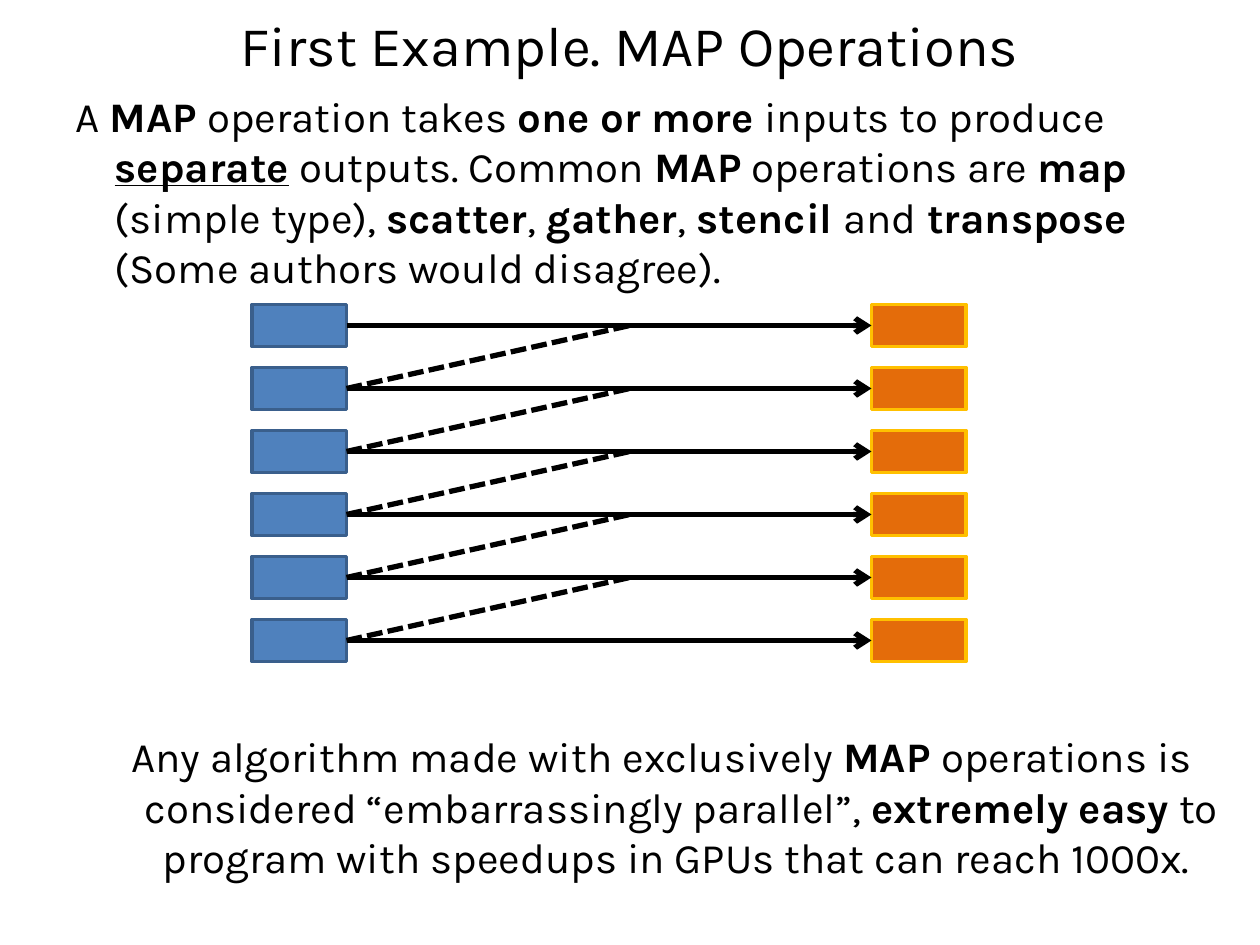
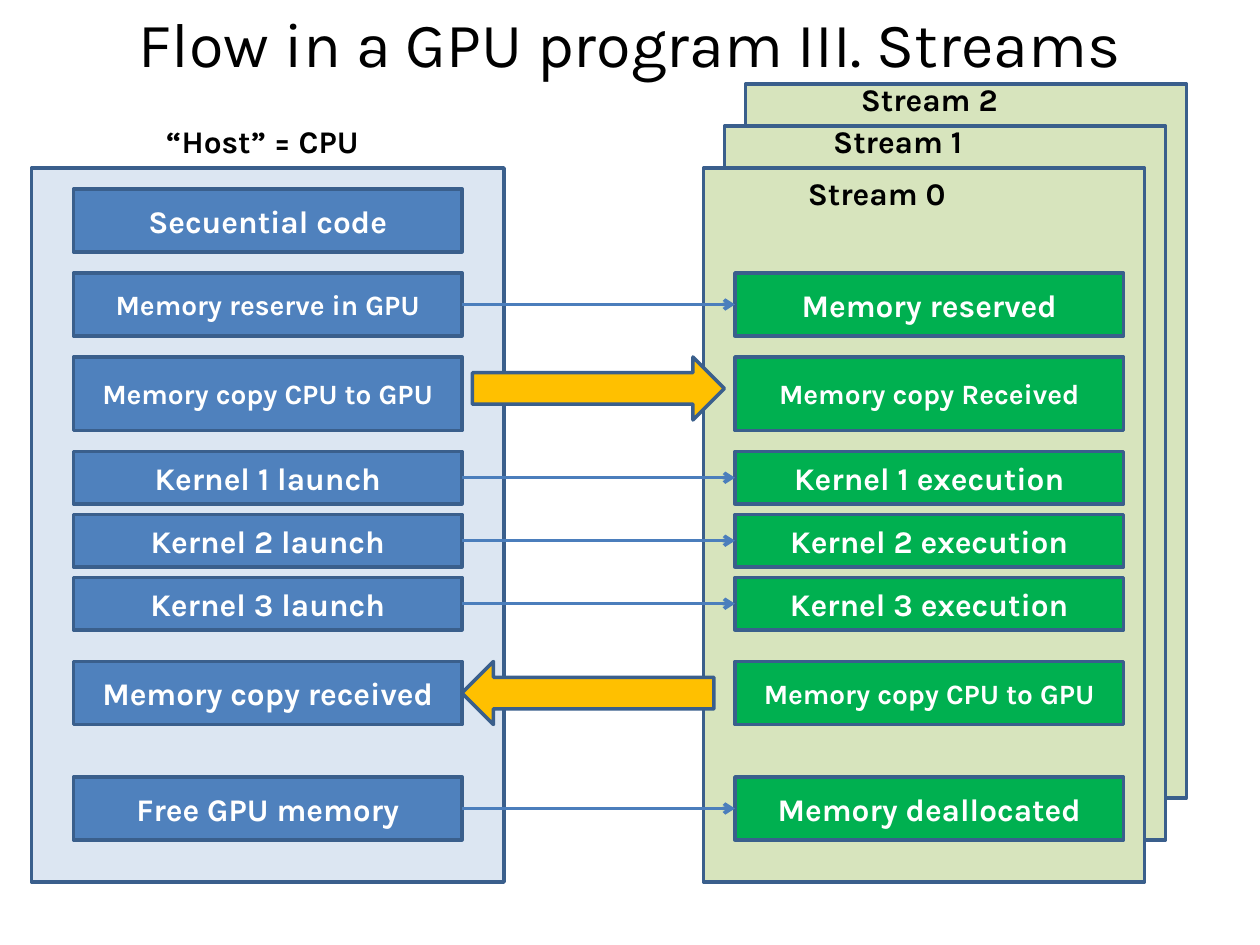
from lxml import etree
from pptx import Presentation
from pptx.dml.color import RGBColor
from pptx.enum.dml import MSO_LINE
from pptx.enum.shapes import MSO_CONNECTOR, MSO_SHAPE
from pptx.enum.text import MSO_ANCHOR, MSO_AUTO_SIZE, PP_ALIGN
from pptx.oxml.ns import qn
from pptx.util import Pt

PX = 9525  # 96 px to the inch
FONT = "Karla"
BLACK = RGBColor(0x00, 0x00, 0x00)
WHITE = RGBColor(0xFF, 0xFF, 0xFF)
BLUE = RGBColor(0x4F, 0x81, 0xBD)
DARK_BLUE = RGBColor(0x3A, 0x5F, 0x8C)
LINK_BLUE = RGBColor(0x4B, 0x7E, 0xBC)
PALE_BLUE = RGBColor(0xDC, 0xE6, 0xF2)
ORANGE = RGBColor(0xE4, 0x6C, 0x0A)
GOLD = RGBColor(0xFF, 0xC0, 0x00)
GREEN = RGBColor(0x00, 0xB0, 0x50)
PALE_GREEN = RGBColor(0xD7, 0xE4, 0xBD)

# Runs are (text, style): "b" bold, "u" underlined
MAP_DEFINITION = [
    ("A ", ""), ("MAP ", "b"), ("operation takes ", ""), ("one or more ", "b"),
    ("inputs to produce ", ""), ("separate", "bu"), (" outputs. Common ", ""),
    ("MAP", "b"), (" operations are ", ""), ("map ", "b"), ("(simple type), ", ""),
    ("scatter", "b"), (",", ""), (" gather", "b"), (",", ""), (" stencil ", "b"),
    ("and", ""), (" transpose", "b"), (" (Some authors would disagree).", ""),
]
MAP_REMARK = [
    ("Any algorithm made with exclusively ", ""), ("MAP ", "b"),
    ("operations is considered “embarrassingly parallel”, ", ""),
    ("extremely easy ", "b"),
    ("to program with speedups in GPUs that can reach 1000x. ", ""),
]
MAP_ROWS = 6

# Top, height, host step and its size, stream step and its size, link between them
STEPS = [
    (144, 48, "Secuential code", 18, None, None, None),
    (208, 48, "Memory reserve in GPU", 16, "Memory reserved", 18, "call"),
    (272, 56, "Memory copy CPU to GPU", 16, "Memory copy Received", 16, "copy in"),
    (344, 40, "Kernel 1 launch", 18, "Kernel 1 execution", 18, "call"),
    (392, 40, "Kernel 2 launch", 18, "Kernel 2 execution", 18, "call"),
    (440, 40, "Kernel 3 launch", 18, "Kernel 3 execution", 18, "call"),
    (504, 48, "Memory copy received", 18, "Memory copy CPU to GPU", 16, "copy out"),
    (592, 48, "Free GPU memory", 18, "Memory deallocated", 18, "call"),
]
# Left and top of each panel, back to front, and of its label
STREAMS = [
    ("Stream 2", (568, 64), (576, 56)),
    ("Stream 1", (552, 96), (552, 88)),
    ("Stream 0", (536, 128), (536, 128)),
]


def scaled(*lengths):
    return [length * PX for length in lengths]


def write(frame, runs, size, color, align=PP_ALIGN.CENTER):
    paragraph = frame.paragraphs[0]
    paragraph.alignment = align
    for text, style in runs:
        run = paragraph.add_run()
        run.text = text
        run.font.name = FONT
        run.font.size = Pt(size)
        run.font.color.rgb = color
        run.font.bold = "b" in style
        run.font.underline = "u" in style
    return paragraph


def add_text(slide, box, runs, size, align=PP_ALIGN.CENTER):
    frame = slide.shapes.add_textbox(*scaled(*box)).text_frame
    frame.word_wrap = True
    write(frame, runs, size, BLACK, align)
    return frame


def add_title(slide, title, top, height, size):
    frame = add_text(slide, (48, top, 864, height), [(title, "")], size)
    frame.vertical_anchor = MSO_ANCHOR.MIDDLE


def add_body(slide, top, height, runs, align):
    """Full-width text with a hanging indent."""
    frame = add_text(slide, (0, top, 960, height), runs, 24, align)
    paragraph = frame.paragraphs[0]
    paragraph.space_before = Pt(4.8)
    properties = paragraph._p.get_or_add_pPr()
    properties.set("marL", str(78 * PX))
    properties.set("indent", str(-30 * PX))


def add_label(slide, left, top, width, label):
    frame = add_text(slide, (left, top, width, 38), [(label, "b")], 18)
    frame.auto_size = MSO_AUTO_SIZE.SHAPE_TO_FIT_TEXT


def add_block(slide, box, fill, line=DARK_BLUE, kind=MSO_SHAPE.RECTANGLE):
    block = slide.shapes.add_shape(kind, *scaled(*box))
    block.shadow.inherit = False
    block.fill.solid()
    block.fill.fore_color.rgb = fill
    block.line.color.rgb = line
    block.line.width = Pt(2)
    return block


def add_step(slide, box, fill, step, size):
    frame = add_block(slide, box, fill).text_frame
    frame.word_wrap = True
    frame.vertical_anchor = MSO_ANCHOR.MIDDLE
    write(frame, [(step, "b")], size, WHITE)


def add_line(slide, start, end, color, width, dashed=False):
    """Dashed line, or solid line with an arrowhead at its end."""
    line = slide.shapes.add_connector(MSO_CONNECTOR.STRAIGHT, *scaled(*start, *end))
    line.line.color.rgb = color
    line.line.width = Pt(width)
    if dashed:
        line.line.dash_style = MSO_LINE.SQUARE_DOT
    else:
        etree.SubElement(line.line._get_or_add_ln(), qn("a:tailEnd"), type="arrow")
    etree.SubElement(line._element.spPr, qn("a:effectLst"))


def build_map_slide(slide):
    add_title(slide, "First Example. MAP Operations", 0, 67, 32)
    add_body(slide, 64, 176, MAP_DEFINITION, PP_ALIGN.LEFT)
    first, pitch, width, height = 232, 48, 72, 32
    input_left, output_left, merge = 192, 664, 480
    input_right = input_left + width
    middles = [first + row * pitch + height // 2 for row in range(MAP_ROWS)]
    for middle in middles:
        top = middle - height // 2
        add_block(slide, (input_left, top, width, height), BLUE)
        add_block(slide, (output_left, top, width, height), ORANGE, GOLD)
        add_line(slide, (input_right, middle), (output_left, middle), BLACK, 3)
    for above, middle in zip(middles, middles[1:]):
        add_line(slide, (input_right, middle), (merge, above), BLACK, 3, dashed=True)
    add_body(slide, 552, 144, MAP_REMARK, PP_ALIGN.CENTER)


def build_streams_slide(slide):
    for _, corner, _ in STREAMS:
        add_block(slide, (*corner, 336, 544), PALE_GREEN)
    add_block(slide, (24, 128, 360, 544), PALE_BLUE)
    add_title(slide, "Flow in a GPU program III. Streams", -8, 80, 36)
    add_label(slide, 80, 88, 240, "“Host” = CPU")
    for stream, _, (left, top) in STREAMS:
        add_label(slide, left, top, 264, stream)

    host_left, stream_left, width = 56, 560, 296
    host_right = host_left + width
    for top, height, host, host_size, stream, stream_size, link in STEPS:
        add_step(slide, (host_left, top, width, height), BLUE, host, host_size)
        if stream:
            add_step(slide, (stream_left, top, width, height), GREEN, stream, stream_size)
        if link == "call":
            middle = top + height // 2
            add_line(slide, (host_right, middle), (stream_left, middle), LINK_BLUE, 2)
        elif link:
            outward = link == "copy out"
            left = host_right if outward else host_right + 8
            arrow = add_block(slide, (left, top, 192, 48), GOLD, kind=MSO_SHAPE.RIGHT_ARROW)
            arrow.rotation = 180 if outward else 0


def main():
    deck = Presentation()
    deck.slide_width, deck.slide_height = scaled(960, 720)
    for build in (build_map_slide, build_streams_slide):
        build(deck.slides.add_slide(deck.slide_layouts[6]))
    deck.save("out.pptx")


if __name__ == "__main__":
    main()
